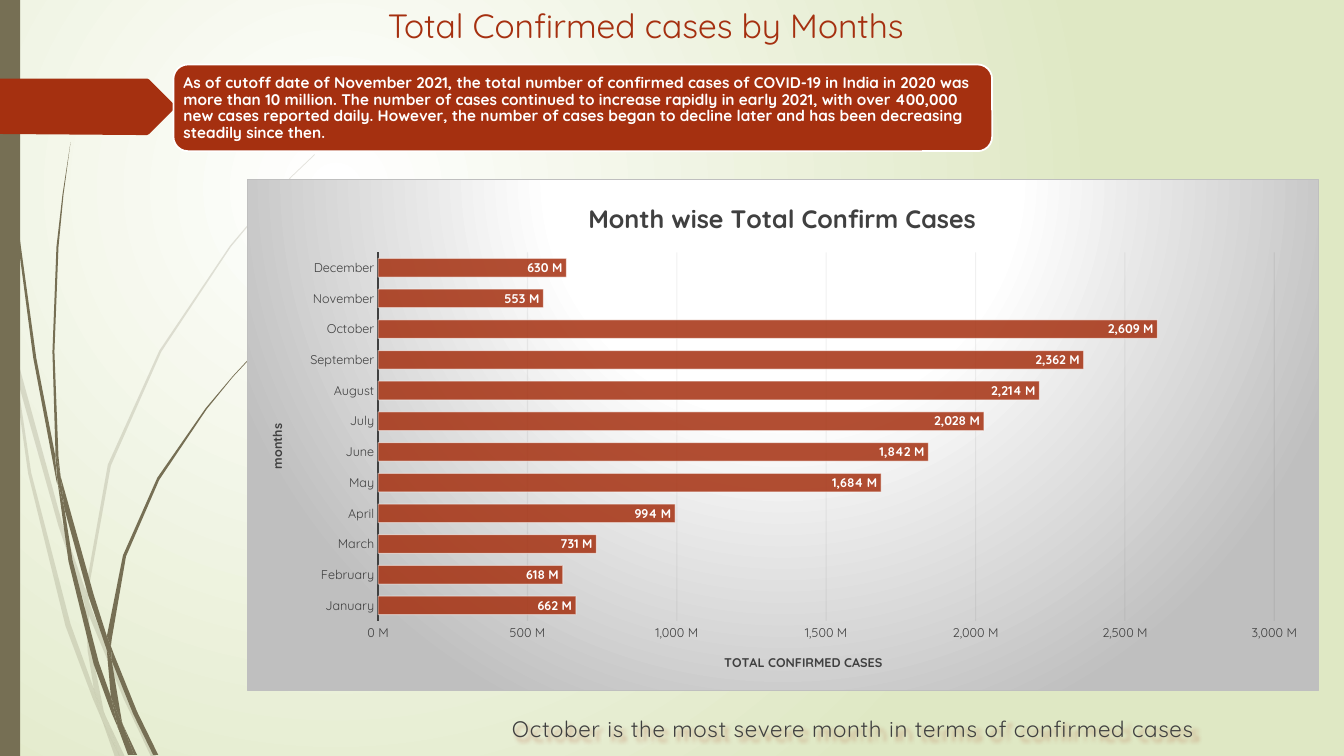
from lxml import etree
from pptx import Presentation
from pptx.chart.data import CategoryChartData
from pptx.dml.color import RGBColor
from pptx.enum.chart import XL_CHART_TYPE, XL_LABEL_POSITION, XL_TICK_MARK
from pptx.enum.shapes import MSO_SHAPE
from pptx.enum.text import MSO_ANCHOR, PP_ALIGN
from pptx.oxml import parse_xml
from pptx.oxml.ns import nsdecls, qn
from pptx.util import Inches, Pt

TITLE = "Total Confirmed cases by Months"
SUMMARY = ("As of cutoff date of November 2021, the total number of confirmed cases of COVID-19 in India in "
           "2020 was more than 10 million. The number of cases continued to increase rapidly in early 2021, "
           "with over 400,000 new cases reported daily. However, the number of cases began to decline later "
           "and has been decreasing steadily since then.")
FINDING = "October is the most severe month in terms of confirmed cases"
CHART_TITLE = "Month wise Total Confirm Cases"
CATEGORY_TITLE = "months"
VALUE_TITLE = "TOTAL CONFIRMED CASES"
MILLION = 1_000_000
CASES = {"January": 662, "February": 618, "March": 731, "April": 994, "May": 1684, "June": 1842,
         "July": 2028, "August": 2214, "September": 2362, "October": 2609, "November": 553, "December": 630}

# Blades of grass: the corners of each outline
FAINT_BLADES = [
    [(.11, 3.5), (.09, 3.22), (0, 2.82), (0, 2.99), (.1, 3.44)],
    [(.58, 5.22), (.84, 5.99), (.85, 5.86), (.62, 5.2), (.14, 3.45), (.17, 3.76)],
    [(.92, 6.07), (.88, 5.96), (.88, 6.1), (1.23, 6.94), (1.5, 7.51), (1.55, 7.51), (1.27, 6.92)],
    [(1.19, 7.51), (1.24, 7.51), (1.05, 7.11)],
    [(.93, 6.83), (.7, 6.19), (.31, 4.69), (.17, 3.76), (.11, 3.5), (.28, 4.7), (.65, 6.21), (.92, 6.93),
     (1.01, 7.14), (.99, 7.07)],
    [(.84, 5.99), (.87, 6.46), (.93, 6.83), (.96, 6.92), (1.05, 7.11), (1.03, 7.06), (.91, 6.46), (.88, 6.1),
     (.88, 6.08)],
    [(.88, 5.84), (1.1, 4.62), (1.6, 3.49), (2.29, 2.45), (2.68, 1.98), (2.9, 1.75), (3.12, 1.54), (3.12, 1.53),
     (2.89, 1.75), (2.68, 1.97), (2.28, 2.44), (1.58, 3.48), (1.07, 4.61), (.85, 5.84), (.85, 5.86), (.88, 5.96)],
    [(1.01, 7.14), (1.14, 7.51), (1.19, 7.51)],
    [(.88, 6.08), (.88, 6.1), (.88, 5.96), (.85, 5.86), (.84, 5.99)],
    [(.96, 6.92), (.93, 6.83), (.99, 7.07), (1.01, 7.14), (1.19, 7.51), (1.05, 7.11)],
]
DARK_BLADES = [
    [(.07, 1.1), (.17, 2.33), (.33, 3.55), (.56, 4.77), (.57, 4.81), (.55, 4.57), (.55, 4.53), (.36, 3.55),
     (.19, 2.32), (.08, 1.09), (.05, .48), (.04, 0), (.03, 0), (.04, .48)],
    [(.88, 5.92), (1.06, 6.45), (1.06, 6.33), (1.06, 6.31), (.93, 5.9), (.6, 4.72), (.64, 5.05)],
    [(1.13, 6.49), (1.1, 6.41), (1.11, 6.56), (1.32, 7.08), (1.52, 7.49), (1.57, 7.49), (1.36, 7.06)],
    [(1.1, 6.91), (.98, 6.57), (.72, 5.56), (.64, 5.05), (.57, 4.77), (.68, 5.57), (.93, 6.59), (1.11, 7.08),
     (1.17, 7.22), (1.16, 7.17)],
    [(.6, 4.72), (.58, 4.53), (.54, 3.49), (.58, 2.45), (.63, 1.93), (.7, 1.41), (.62, 1.93), (.56, 2.45),
     (.52, 3.49), (.55, 4.49)],
    [(1.33, 7.49), (1.36, 7.49), (1.22, 7.19)],
    [(.57, 4.77), (.64, 5.05), (.6, 4.72), (.55, 4.49), (.55, 4.53)],
    [(1.11, 6.33), (1.25, 5.52), (1.58, 4.76), (2.05, 4.06), (2.31, 3.74), (2.45, 3.59), (2.61, 3.44), (2.6, 3.44),
     (2.45, 3.58), (2.31, 3.73), (2.04, 4.05), (1.56, 4.74), (1.22, 5.51), (1.06, 6.31), (1.1, 6.41)],
    [(1.17, 7.22), (1.27, 7.49), (1.31, 7.49)],
    [(1.06, 6.45), (1.1, 6.91), (1.16, 7.06), (1.22, 7.19), (1.21, 7.16), (1.11, 6.56), (1.09, 6.51)],
    [(1.06, 6.45), (1.09, 6.51), (1.11, 6.56), (1.1, 6.41), (1.06, 6.31), (1.06, 6.33)],
    [(1.16, 7.06), (1.1, 6.91), (1.16, 7.17), (1.17, 7.22), (1.3, 7.49), (1.33, 7.49), (1.22, 7.19)],
]
ARROW = [(1.73, 1.08), (1.48, 1.33), (1.46, 1.34), (1.36, 1.34), (0, 1.33), (0, .78), (1.36, .78), (1.46, .78),
         (1.48, .79), (1.73, 1.04)]


class Theme:
    font = "Quicksand"
    rust, olive, white, ink, grid = "A53010", "766F54", "FFFFFF", "404040", "0D0D0D"
    silver, leaf = "BFBFBF", "DFE8C4"
    title, finding, summary, chart_title, label = 24, 16, 11, 18, 9
    number = '#,##0,," M";#,##0,"K"'


def rgb(color):
    return RGBColor.from_string(color)


def style(font, size, color, bold=False):
    font.name, font.size, font.bold = Theme.font, Pt(size), bold
    font.color.rgb = rgb(color)


def set_alpha(owner, percent):
    for color in owner.iter(qn("a:srgbClr")):
        etree.SubElement(color, qn("a:alpha"), val=str(percent * 1000))


def radial(stops, focus):
    """Circular gradient; focus holds left, top, right and bottom insets in percent."""
    marks = "".join(f'<a:gs pos="{at * 1000}"><a:srgbClr val="{c}"/></a:gs>' for at, c in stops)
    rect = " ".join(f'{side}="{inset * 1000}"' for side, inset in zip("ltrb", focus))
    return parse_xml(f'<a:gradFill {nsdecls("a")} rotWithShape="1"><a:gsLst>{marks}</a:gsLst>'
                     f'<a:path path="circle"><a:fillToRect {rect}/></a:path></a:gradFill>')


def paint(sp, color, alpha=100):
    sp.shadow.inherit = False
    sp.fill.solid()
    sp.fill.fore_color.rgb = rgb(color)
    if alpha < 100:
        set_alpha(sp.fill._xPr.find(qn("a:solidFill")), alpha)
    sp.line.fill.background()


def add_outline(shapes, points, color, alpha=100):
    (x, y), *rest = [(Inches(x), Inches(y)) for x, y in points]
    builder = shapes.build_freeform(x, y, scale=1.0)
    builder.add_line_segments(rest, close=True)
    paint(builder.convert_to_shape(), color, alpha)


def add_text(shapes, box, text, size, color, bold=False, align=PP_ALIGN.CENTER, wrap=True):
    sp = shapes.add_textbox(*map(Inches, box))
    tf = sp.text_frame
    tf.word_wrap = wrap
    p = tf.paragraphs[0]
    p.alignment = align
    r = p.add_run()
    r.text = text
    style(r.font, size, color, bold)
    return sp


def place(element, after, **fractions):
    """Manual chart layout, put right after the named child."""
    for old in element.findall(qn("c:layout")):
        element.remove(old)
    target = '<c:layoutTarget val="inner"/>' if "w" in fractions else ""
    modes = "".join(f'<c:{k}Mode val="edge"/>' for k in "xy")
    sizes = "".join(f'<c:{k} val="{v}"/>' for k, v in fractions.items())
    layout = parse_xml(f'<c:layout {nsdecls("c")}><c:manualLayout>{target}{modes}{sizes}'
                       '</c:manualLayout></c:layout>')
    anchor = element.find(qn(after)) if after else None
    element.insert(0 if anchor is None else element.index(anchor) + 1, layout)


def add_title(owner, text, size, x, y):
    """Title of a chart or an axis."""
    owner.has_title = True
    title = owner.chart_title if hasattr(owner, "chart_title") else owner.axis_title
    r = title.text_frame.paragraphs[0].add_run()
    r.text = text
    style(r.font, size, Theme.ink, True)
    place(title._element, "c:tx", x=x, y=y)


def add_cases_chart(s):
    data = CategoryChartData(number_format=Theme.number)
    data.categories = list(CASES)
    data.add_series("Series 1", [n * MILLION for n in CASES.values()])
    box = map(Inches, (2.45, 1.78, 10.63, 5.08))
    chart = s.shapes.add_chart(XL_CHART_TYPE.BAR_CLUSTERED, *box, data).chart
    style(chart.font, 10, "000000")
    chart.has_legend = False
    add_title(chart, CHART_TITLE, Theme.chart_title, .314, .031)
    cat, val = chart.category_axis, chart.value_axis
    add_title(cat, CATEGORY_TITLE, Theme.label, .017, .473)
    add_title(val, VALUE_TITLE, Theme.label, .443, .922)
    for axis in (cat, val):
        axis.major_tick_mark = axis.minor_tick_mark = XL_TICK_MARK.NONE
        style(axis.tick_labels.font, Theme.label, Theme.ink)
    cat.format.line.color.rgb, cat.format.line.width = rgb(Theme.ink), Pt(1.5)
    val.format.line.fill.background()
    val.minimum_scale, val.maximum_scale, val.major_unit = 0, 3000 * MILLION, 500 * MILLION
    val.tick_labels.number_format, val.tick_labels.number_format_is_linked = Theme.number, False
    grid = val.major_gridlines.format.line
    grid.color.rgb, grid.width = rgb(Theme.grid), Pt(.75)
    set_alpha(val.major_gridlines._xAx.find(qn("c:majorGridlines")), 6)

    plot = chart.plots[0]
    plot.gap_width, plot.vary_by_categories = 65, False
    bars = plot.series[0]
    bars.format.fill.solid()
    bars.format.fill.fore_color.rgb = rgb(Theme.rust)
    bars.format.line.color.rgb, bars.format.line.width = rgb(Theme.white), Pt(.75)
    sp_pr = bars._element.find(qn("c:spPr"))
    set_alpha(sp_pr.find(qn("a:solidFill")), 85)
    set_alpha(sp_pr.find(qn("a:ln")), 50)
    labels = bars.data_labels
    labels.show_value, labels.position = True, XL_LABEL_POSITION.INSIDE_END
    labels.number_format, labels.number_format_is_linked = Theme.number, False
    style(labels.font, Theme.label, Theme.white, True)

    space = chart._chartSpace
    place(space.chart.plotArea, None, x=.122, y=.142, w=.837, h=.721)
    sp_pr = parse_xml(f'<c:spPr {nsdecls("c", "a")}><a:ln w="9525"><a:solidFill><a:srgbClr val="{Theme.silver}"/>'
                      '</a:solidFill></a:ln></c:spPr>')
    sp_pr.insert(0, radial([(0, Theme.white), (39, Theme.white), (100, Theme.silver)], (50, -80, 50, 180)))
    space.chart.addnext(sp_pr)


def main():
    prs = Presentation()
    prs.slide_width, prs.slide_height = Inches(13.33), Inches(7.5)
    s = prs.slides.add_slide(prs.slide_layouts[6])
    s.background.fill.gradient()
    plain = next(s._element.iter(qn("a:gradFill")))
    plain.getparent().replace(plain, radial([(0, Theme.white), (100, Theme.leaf)], (50, 50, 100, 100)))
    for blades, alpha in ((FAINT_BLADES, 20), (DARK_BLADES, 100)):
        tuft = s.shapes.add_group_shape().shapes
        for points in blades:
            add_outline(tuft, points, Theme.olive, alpha)
    paint(s.shapes.add_shape(MSO_SHAPE.RECTANGLE, 0, 0, Inches(.2), Inches(7.5)), Theme.olive)
    add_outline(s.shapes, ARROW, Theme.rust)

    finding = add_text(s.shapes, (4.58, 7.05, 7.77, .37), FINDING, Theme.finding, Theme.ink)
    r_pr = finding.text_frame.paragraphs[0].runs[0].font._element
    r_pr.set("spc", "50")
    r_pr.insert(0, parse_xml(f'<a:ln {nsdecls("a")} w="9525"><a:solidFill><a:srgbClr val="{Theme.rust}"/>'
                             '</a:solidFill></a:ln>'))
    finding._element.spPr.append(parse_xml(
        f'<a:effectLst {nsdecls("a")}><a:outerShdw blurRad="38100" dist="38100" dir="2700000">'
        f'<a:srgbClr val="{Theme.rust}"><a:alpha val="40000"/></a:srgbClr></a:outerShdw></a:effectLst>'))
    add_text(s.shapes, (3.6, 0, 5.61, .5), TITLE, Theme.title, Theme.rust, wrap=False)

    callout = s.shapes.add_group_shape().shapes
    panel = callout.add_shape(MSO_SHAPE.ROUNDED_RECTANGLE, *map(Inches, (1.72, .64, 8.12, .86)))
    paint(panel, Theme.rust)
    panel.line.color.rgb, panel.line.width = rgb(Theme.white), Pt(1.25)
    box = (1.77, .69, 8.04, .77)
    tf = add_text(callout, box, SUMMARY, Theme.summary, Theme.white, True, PP_ALIGN.LEFT).text_frame
    tf.vertical_anchor = MSO_ANCHOR.MIDDLE
    tf.margin_left = tf.margin_right = tf.margin_top = tf.margin_bottom = Inches(.05)
    tf.paragraphs[0].line_spacing = .9
    add_cases_chart(s)
    prs.save("out.pptx")


if __name__ == "__main__":
    main()
